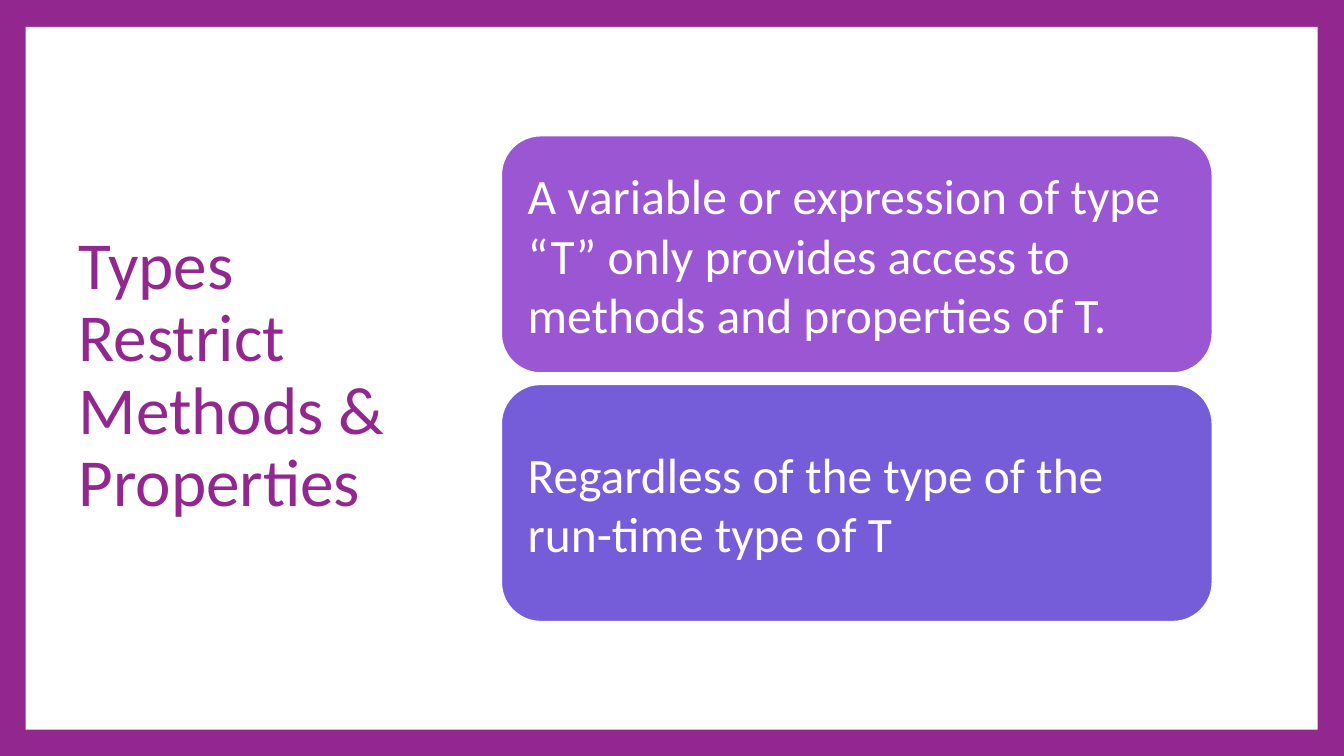
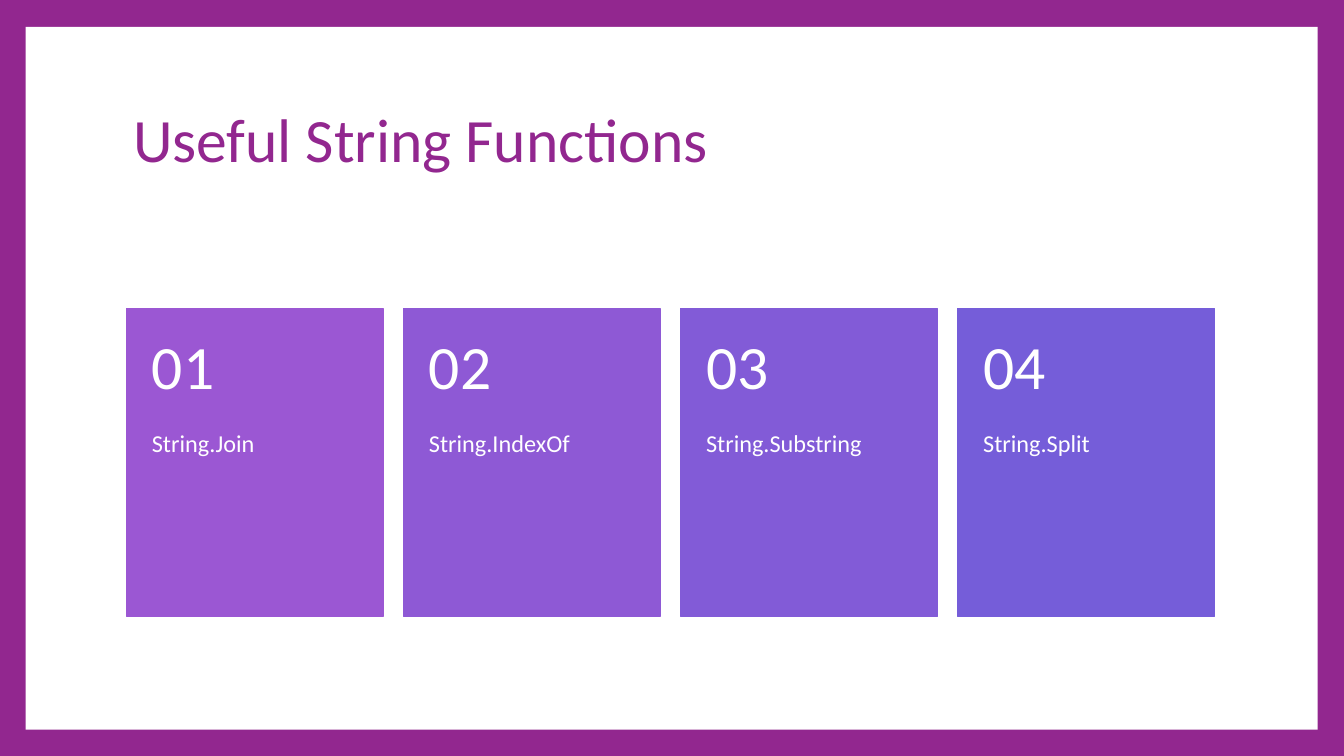
from dataclasses import dataclass

from pptx import Presentation
from pptx.dml.color import RGBColor
from pptx.enum.shapes import MSO_SHAPE as Preset
from pptx.enum.text import MSO_ANCHOR as Anchor, MSO_AUTO_SIZE as AutoSize, PP_ALIGN as Align
from pptx.util import Inches, Pt

FONT = "Calibri"
WHITE = RGBColor(0xFF, 0xFF, 0xFF)
PLUM = RGBColor(0x92, 0x27, 0x8F)
ORCHID = RGBColor(0x9B, 0x57, 0xD3)
AMETHYST = RGBColor(0x8E, 0x59, 0xD5)
VIOLET = RGBColor(0x82, 0x5B, 0xD7)
INDIGO = RGBColor(0x75, 0x5D, 0xD9)


@dataclass(frozen=True)
class Box:
    left: float
    top: float
    width: float
    height: float

    def lengths(self):
        return [Inches(value) for value in (self.left, self.top, self.width, self.height)]


@dataclass(frozen=True)
class Panel:
    text: str
    color: RGBColor


STATEMENTS = [
    Panel("A variable or expression of type “T” only provides access to methods and properties of T.", ORCHID),
    Panel("Regardless of the type of the run-time type of T", INDIGO),
]
FUNCTIONS = [
    Panel("String.Join", ORCHID),
    Panel("String.IndexOf", AMETHYST),
    Panel("String.Substring", VIOLET),
    Panel("String.Split", INDIGO),
]


def write(shape, text: str, *, size: float, color: RGBColor = WHITE, anchor=Anchor.MIDDLE,
          spacing: float = 0.9, insets: tuple = (0.1, 0.05, 0.1, 0.05)) -> None:
    frame = shape.text_frame
    frame.word_wrap = True
    frame.auto_size = AutoSize.NONE
    frame.vertical_anchor = anchor
    (frame.margin_left, frame.margin_top,
     frame.margin_right, frame.margin_bottom) = [Inches(inset) for inset in insets]
    paragraph = frame.paragraphs[0]
    paragraph.text = text
    paragraph.alignment = Align.LEFT
    paragraph.line_spacing = spacing
    for run in paragraph.runs:
        run.font.name = FONT
        run.font.size = Pt(size)
        run.font.color.rgb = color


def add_panel(slide, preset, box: Box, fill: RGBColor, line: RGBColor):
    shape = slide.shapes.add_shape(preset, *box.lengths())
    shape.shadow.inherit = False
    shape.fill.solid()
    shape.fill.fore_color.rgb = fill
    shape.line.color.rgb = line
    shape.line.width = Pt(1.5)
    return shape


def add_titled_slide(presentation, layout, title: str, box: Box, size: float):
    slide = presentation.slides.add_slide(layout)
    shape = slide.shapes.title
    shape.left, shape.top, shape.width, shape.height = box.lengths()
    write(shape, title, size=size, color=PLUM)
    return slide


def move_frame_to_layout(slide, layout) -> None:
    frame = add_panel(slide, Preset.RECTANGLE, Box(0.38, 0.4, 19.23, 10.46), WHITE, WHITE)
    frame.line.fill.background()
    layout.shapes._spTree.insert(2, frame._element)


def add_statements(slide) -> None:
    for index, statement in enumerate(STATEMENTS):
        box = Box(7.46, 2.02 + index * 3.7, 10.58, 3.53)
        shape = add_panel(slide, Preset.ROUNDED_RECTANGLE, box, statement.color, WHITE)
        write(shape, statement.text, size=53, spacing=1.0, insets=(0.22,) * 4)


def add_function_cards(slide) -> None:
    first, last, top, width = 1.88, 14.25, 4.59, 3.82
    number_height, label_height = 1.83, 2.75
    step = (last - first) / (len(FUNCTIONS) - 1)
    for index, function in enumerate(FUNCTIONS):
        left = first + index * step
        card = Box(left, top, width, number_height + label_height)
        add_panel(slide, Preset.RECTANGLE, card, function.color, function.color)
        label = slide.shapes.add_textbox(
            *Box(left, top + number_height, width, label_height).lengths())
        write(label, function.text, size=26, anchor=Anchor.TOP, insets=(0.38, 0, 0.38, 0.36))
        number = slide.shapes.add_textbox(*Box(left, top, width, number_height).lengths())
        write(number, f"{index + 1:02}", size=66, insets=(0.38, 0.18, 0.38, 0.18))


def main() -> None:
    presentation = Presentation()
    presentation.slide_width = Inches(20)
    presentation.slide_height = Inches(11.25)
    background = presentation.slide_master.background.fill
    background.solid()
    background.fore_color.rgb = PLUM
    layout = presentation.slide_layouts.get_by_name("Title Only")

    types_slide = add_titled_slide(presentation, layout, "Types Restrict Methods &\vProperties",
                                   Box(1.07, 1, 5.52, 9.2), 72)
    move_frame_to_layout(types_slide, layout)
    add_statements(types_slide)

    strings_slide = add_titled_slide(presentation, layout, "Useful String Functions",
                                     Box(1.88, 1, 16.2, 2.23), 66)
    add_function_cards(strings_slide)
    presentation.save("out.pptx")


if __name__ == "__main__":
    main()
